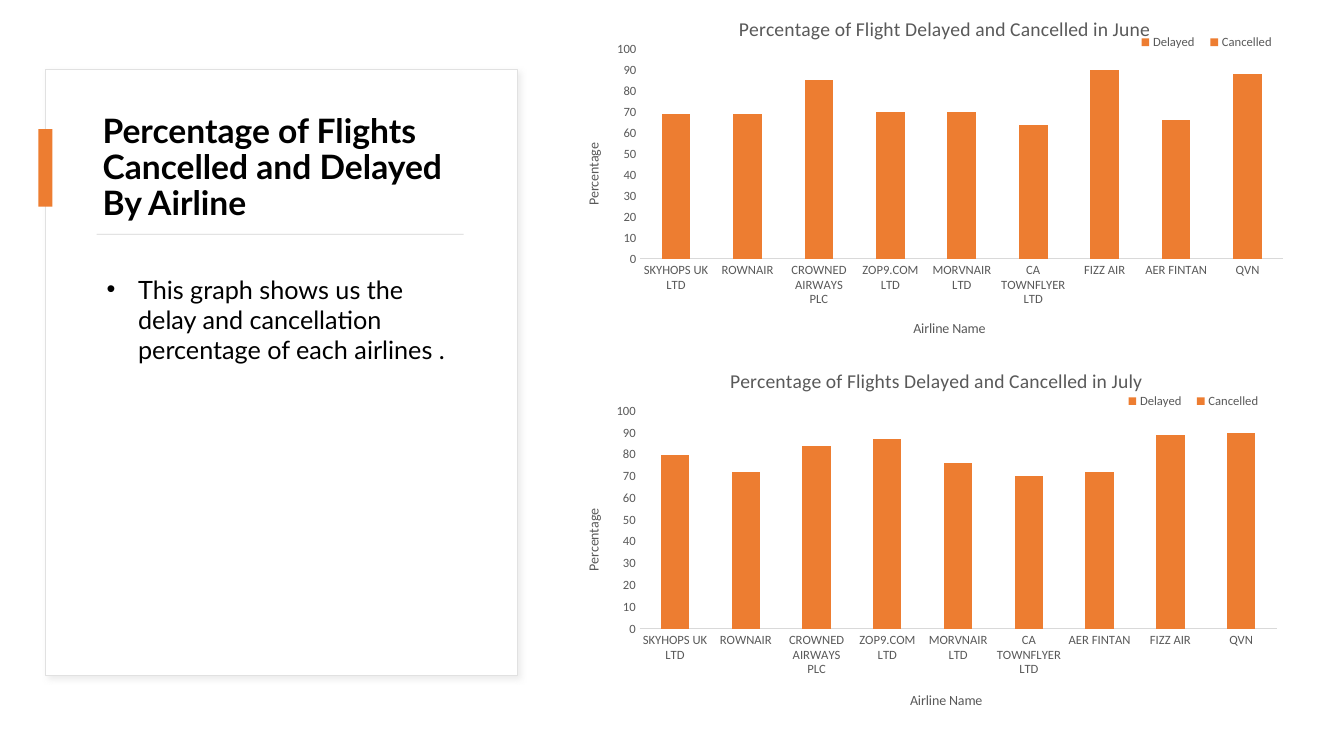
from lxml.etree import SubElement
from pptx import Presentation
from pptx.chart.data import CategoryChartData
from pptx.dml.color import RGBColor
from pptx.enum.chart import XL_CHART_TYPE, XL_LEGEND_POSITION, XL_TICK_MARK
from pptx.enum.shapes import MSO_SHAPE
from pptx.enum.text import MSO_ANCHOR, MSO_AUTO_SIZE
from pptx.oxml import parse_xml
from pptx.oxml.ns import nsdecls, qn
from pptx.util import Pt

COLOURS = {
    "card": "FFFFFF", "card_edge": "E1E1E1", "shadow": "D9D9D9",
    "accent": "ED7D31", "rule": "D5D5D5", "axis": "D9D9D9",
    "text": "000000", "label": "595959",
}

JUNE = {
    "title": "Percentage of Flight Delayed and Cancelled in June",
    "frame": (410.4, 3.6, 522, 241.9),
    "airlines": ["SKYHOPS UK LTD", "ROWNAIR", "CROWNED AIRWAYS PLC", "ZOP9.COM LTD",
                 "MORVNAIR LTD", "CA TOWNFLYER LTD", "FIZZ AIR", "AER FINTAN", "QVN"],
    "Delayed": [68, 69, 83, 70, 67, 62, 90, 66, 86],
    "Cancelled": [1, 0, 2, 0, 3, 2, 0, 0, 2],
    "plot_at": (0.09, 0.13, 0.88, 0.62),
    "title_at": (0.22, 0.02),
    "legend_at": (0.76, 0.08, 0.21, 0.06),
    "airline_title_at": (0.46, 0.92),
    "percentage_title_at": (0.01, 0.4),
}
JULY = {
    "title": "Percentage of Flights Delayed and Cancelled in July",
    "frame": (410.4, 245.5, 517, 283),
    "airlines": ["SKYHOPS UK LTD", "ROWNAIR", "CROWNED AIRWAYS PLC", "ZOP9.COM LTD",
                 "MORVNAIR LTD", "CA TOWNFLYER LTD", "AER FINTAN", "FIZZ AIR", "QVN"],
    "Delayed": [78, 72, 83, 87, 73, 68, 70, 89, 87],
    "Cancelled": [2, 0, 1, 0, 3, 2, 2, 0, 3],
    "plot_at": (0.09, 0.17, 0.88, 0.55),
    "title_at": (0.21, 0.05),
    "legend_at": (0.75, 0.12, 0.21, 0.05),
    "airline_title_at": (0.46, 0.87),
    "percentage_title_at": (0.01, 0.41),
}


def colour(name):
    return RGBColor.from_string(COLOURS[name])


def set_all(target, values):
    for attribute, value in values.items():
        setattr(target, attribute, value)


def style_font(font, size, tint, face, bold=False):
    set_all(font, {"size": Pt(size), "name": face, "bold": bold})
    font.color.rgb = colour(tint)


def add_block(slide, frame, fill, edge=None):
    block = slide.shapes.add_shape(MSO_SHAPE.RECTANGLE, *map(Pt, frame))
    block.shadow.inherit = False
    block.fill.solid()
    block.fill.fore_color.rgb = colour(fill)
    if edge:
        block.line.color.rgb = colour(edge)
        block.line.width = Pt(0.75)
    else:
        block.line.fill.background()
    return block


def add_soft_shadow(block):
    effects = block.element.spPr.find(qn("a:effectLst"))
    effects.append(parse_xml(
        f'<a:outerShdw {nsdecls("a")} blurRad="{Pt(4)}" dist="{Pt(3)}" dir="2700000">'
        f'<a:srgbClr val="{COLOURS["shadow"]}"><a:alpha val="50000"/></a:srgbClr>'
        '</a:outerShdw>'))


def add_text(slide, frame, wording, size, bold=False, **frame_format):
    """Add a wrapped text box and return its only paragraph."""
    text_frame = slide.shapes.add_textbox(*map(Pt, frame)).text_frame
    set_all(text_frame, {"word_wrap": True, "text": wording, **frame_format})
    paragraph = text_frame.paragraphs[0]
    for run in paragraph.runs:
        style_font(run.font, size, "text", "Lato", bold)
    return paragraph


def add_bullet(paragraph, indent):
    properties = paragraph._p.get_or_add_pPr()
    properties.set("marL", str(Pt(indent)))
    properties.set("indent", str(-Pt(indent)))
    SubElement(properties, qn("a:buFont")).set("typeface", "Arial")
    SubElement(properties, qn("a:buChar")).set("char", "•")


def place(part, index, position, inner=False):
    """Fix a chart part at fractions of the chart: left, top and maybe width, height."""
    for old_layout in part.findall(qn("c:layout")):
        part.remove(old_layout)
    values = [("layoutTarget", "inner")] if inner else []
    values += [("xMode", "edge"), ("yMode", "edge"), *zip("xywh", position)]
    settings = "".join(f'<c:{tag} val="{value}"/>' for tag, value in values)
    part.insert(index, parse_xml(
        f'<c:layout {nsdecls("c")}><c:manualLayout>{settings}</c:manualLayout></c:layout>'))


def set_title(owner, wording, size, position):
    title = (owner.chart_title if hasattr(owner, "chart_title") else owner.axis_title)
    title.text_frame.text = wording
    style_font(title.text_frame.paragraphs[0].runs[0].font, size, "label", "Calibri")
    place(title._element, 1, position)


def style_axis(axis, wording, position):
    set_all(axis, {
        "has_major_gridlines": False,
        "major_tick_mark": XL_TICK_MARK.NONE,
        "minor_tick_mark": XL_TICK_MARK.NONE,
    })
    style_font(axis.tick_labels.font, 9, "label", "Calibri")
    set_title(axis, wording, 10, position)


def add_airline_chart(slide, month):
    figures = CategoryChartData()
    figures.categories = month["airlines"]
    for outcome in ("Delayed", "Cancelled"):
        figures.add_series(outcome, month[outcome])
    chart = slide.shapes.add_chart(
        XL_CHART_TYPE.COLUMN_STACKED, *map(Pt, month["frame"]), figures).chart
    style_font(chart.font, 10, "text", "Calibri")
    set_title(chart, month["title"], 14, month["title_at"])

    columns = chart.plots[0]
    set_all(columns, {"gap_width": 150, "overlap": 100, "vary_by_categories": False})
    for outcome in columns.series:
        outcome.format.fill.solid()
        outcome.format.fill.fore_color.rgb = colour("accent")
    place(chart._chartSpace.chart.plotArea, 0, month["plot_at"], inner=True)

    style_axis(chart.category_axis, "Airline Name", month["airline_title_at"])
    chart.category_axis.format.line.color.rgb = colour("axis")
    chart.category_axis.format.line.width = Pt(0.75)
    style_axis(chart.value_axis, "Percentage", month["percentage_title_at"])
    set_all(chart.value_axis, {"minimum_scale": 0, "maximum_scale": 100, "major_unit": 10})
    chart.value_axis.format.line.fill.background()

    chart.has_legend = True
    set_all(chart.legend, {"position": XL_LEGEND_POSITION.BOTTOM, "include_in_layout": False})
    style_font(chart.legend.font, 9, "label", "Calibri")
    place(chart.legend._element, 1, month["legend_at"])


def main():
    deck = Presentation()
    set_all(deck, {"slide_width": Pt(960), "slide_height": Pt(540)})
    slide = deck.slides.add_slide(deck.slide_layouts[6])

    card = add_block(slide, (32.4, 49.7, 337, 432.7), "card", "card_edge")
    add_soft_shadow(card)
    heading = add_text(
        slide, (66.2, 77, 268.6, 87.1),
        "Percentage of Flights Cancelled and Delayed \vBy Airline", 24, bold=True,
        vertical_anchor=MSO_ANCHOR.MIDDLE)
    heading.line_spacing = 0.9
    add_block(slide, (27.4, 92.2, 10.1, 55.4), "accent")
    add_block(slide, (69.1, 167, 262.1, 0.7), "rule")

    for month in (JUNE, JULY):
        add_airline_chart(slide, month)

    remark = add_text(
        slide, (69.1, 192.2, 268.6, 159.8),
        "This graph shows us the delay and cancellation percentage of each airlines .", 18,
        auto_size=MSO_AUTO_SIZE.SHAPE_TO_FIT_TEXT)
    add_bullet(remark, 22.5)
    deck.save("out.pptx")


if __name__ == "__main__":
    main()
